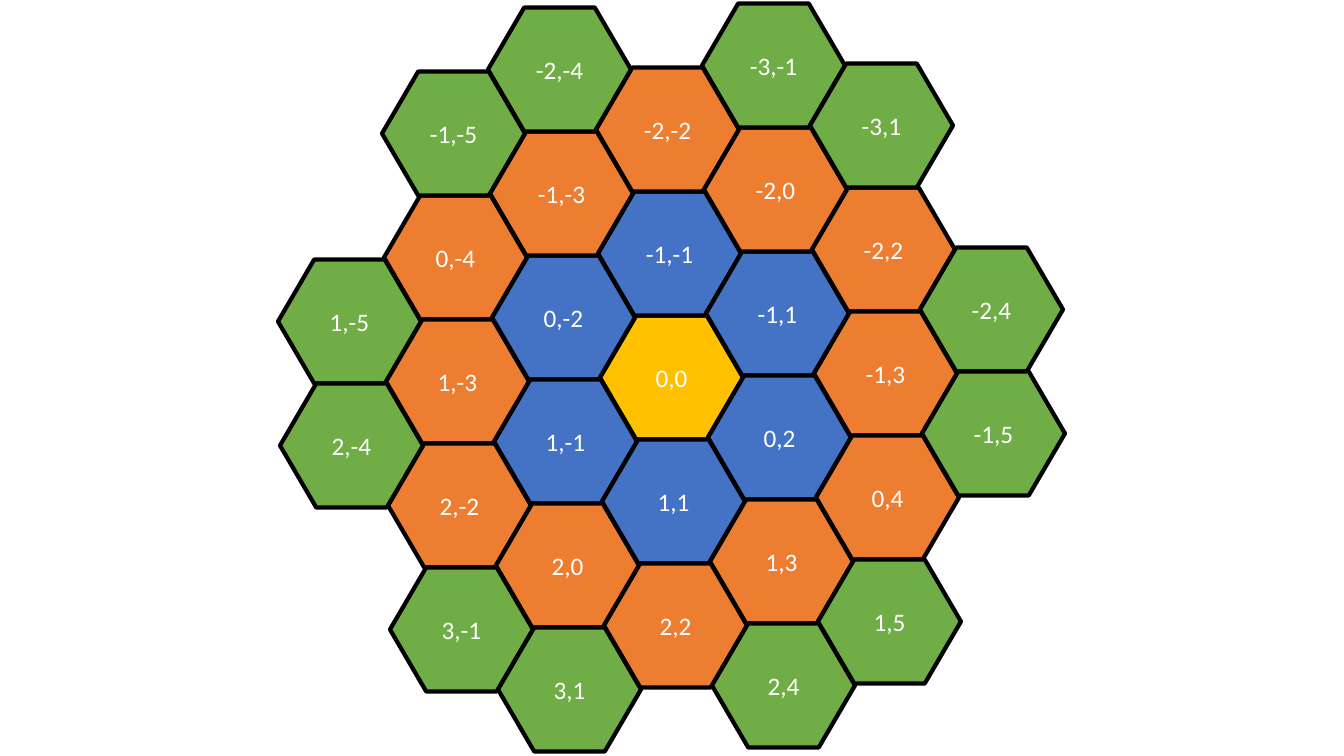
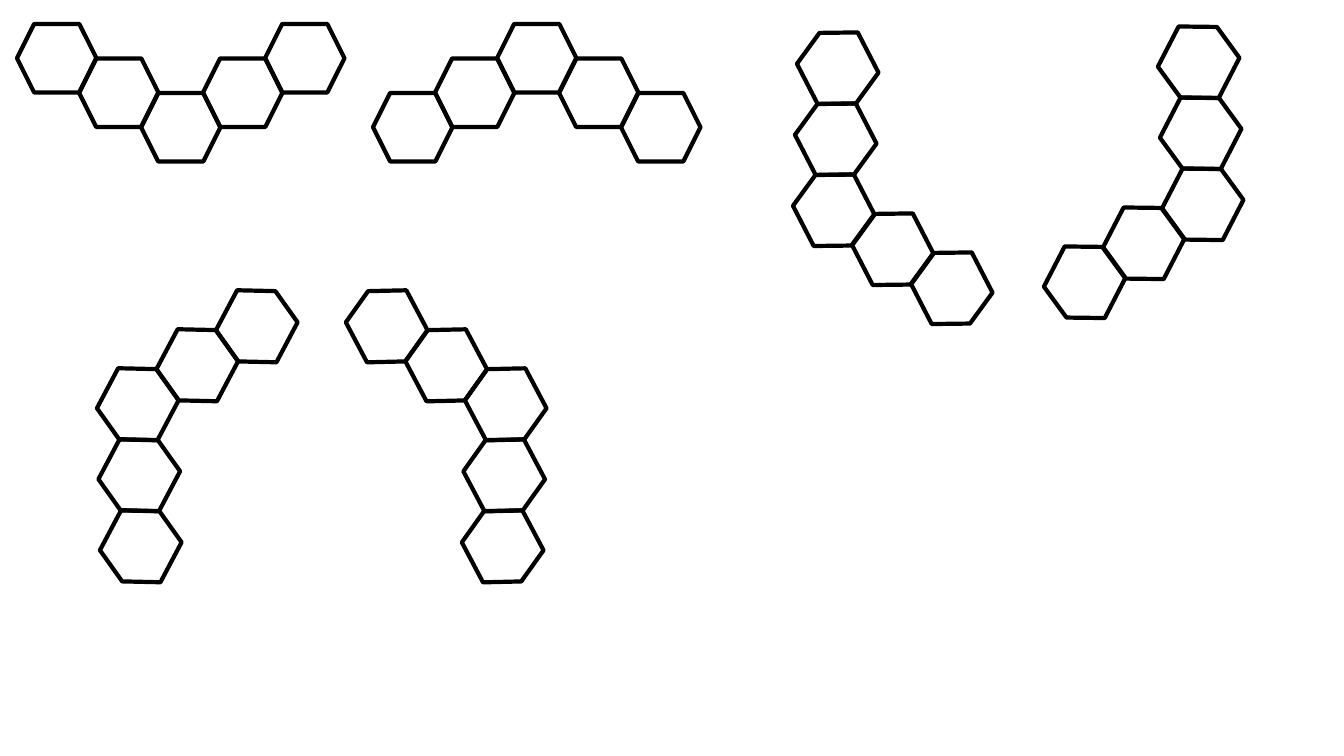
from pptx import Presentation
from pptx.dml.color import RGBColor
from pptx.enum.shapes import MSO_SHAPE
from pptx.enum.text import MSO_ANCHOR, PP_ALIGN
from pptx.util import Pt

HEXAGON = MSO_SHAPE.HEXAGON
MIDDLE = MSO_ANCHOR.MIDDLE
CENTER = PP_ALIGN.CENTER

SCALE = 914400 / 100.8
WIDE, HIGH = 1344, 756
FONT = "Calibri"
INK, WHITE = "000000", "FFFFFF"
RINGS = ["FFC000", "4472C4", "ED7D31", "70AD47"]  # from the centre outward

# Bend cell, step along each arm, rotation of the cells
CHAINS = [
    ((141, 93), (62, -34.5), (-62, -34.5), 0),
    ((497, 24), (62, 34.5), (-62, 34.5), 0),
    ((794, 176), (2, -71), (59, 39), 62.7),
    ((1163, 170), (-2, -71), (-59, 39), -62.7),
    ((98, 370), (1.5, 71), (59.5, -39), 117.9),
    ((466, 370), (-1.5, 71), (-59.5, -39), -117.9),
]


def emu(px):
    """Turn pixels into EMU."""
    return round(px * SCALE)


def color(code):
    """Turn a hex string into a colour."""
    return RGBColor.from_string(code)


def add_hex(shapes, x, y, w, h, fill=None):
    """Add an outlined hexagon, filled if a colour is given."""
    cell = shapes.add_shape(HEXAGON, emu(x), emu(y), emu(w), emu(h))
    cell.shadow.inherit = False
    cell.line.color.rgb = color(INK)
    cell.line.width = Pt(3)
    if fill:
        cell.fill.solid()
        cell.fill.fore_color.rgb = color(fill)
    else:
        cell.fill.background()
    return cell


def set_label(cell, text):
    """Write centred white text in a cell."""
    frame = cell.text_frame
    frame.text = text
    frame.vertical_anchor = MIDDLE
    para = frame.paragraphs[0]
    para.alignment = CENTER
    font = para.runs[0].font
    font.name = FONT
    font.size = Pt(18)
    font.color.rgb = color(WHITE)


def ring_cells(ring):
    """List the (row, col) cells of a ring; the outer one lacks its corners."""
    cells = []
    for row in range(-ring, ring + 1):
        for col in range(-2 * ring, 2 * ring + 1):
            even = (row + col) % 2 == 0
            far = max(abs(row), (abs(row) + abs(col)) // 2)
            corner = ring == 3 and row % 3 == 0 and col % 3 == 0
            if even and far == ring and not corner:
                cells.append((row, col))
    return cells


def add_board(slide):
    """Draw the labelled rings of cells on a slightly tilted grid."""
    for ring, fill in enumerate(RINGS):
        for row, col in ring_cells(ring):
            x = 600 - 52 * row + 54 * col
            y = 315.5 + 94 * row + 30 * col
            cell = add_hex(slide.shapes, x, y, 143, 124, fill)
            cell.adjustments[0] = 0.292
            set_label(cell, f"{row},{col}")


def add_chain(slide, bend, first, second, turn):
    """Draw a group of five cells: a bend with two cells on each arm."""
    shapes = slide.shapes.add_group_shape().shapes
    steps = [(0, 0)] + [(n * dx, n * dy)
                        for dx, dy in (first, second) for n in (1, 2)]
    for dx, dy in steps:
        cell = add_hex(shapes, bend[0] + dx, bend[1] + dy, 79.5, 68.5)
        cell.rotation = turn


def main():
    """Build both slides and save the deck."""
    deck = Presentation()
    deck.slide_width, deck.slide_height = emu(WIDE), emu(HIGH)
    blank = deck.slide_layouts[6]
    add_board(deck.slides.add_slide(blank))
    slide = deck.slides.add_slide(blank)
    for chain in CHAINS:
        add_chain(slide, *chain)
    deck.save("out.pptx")


main()
